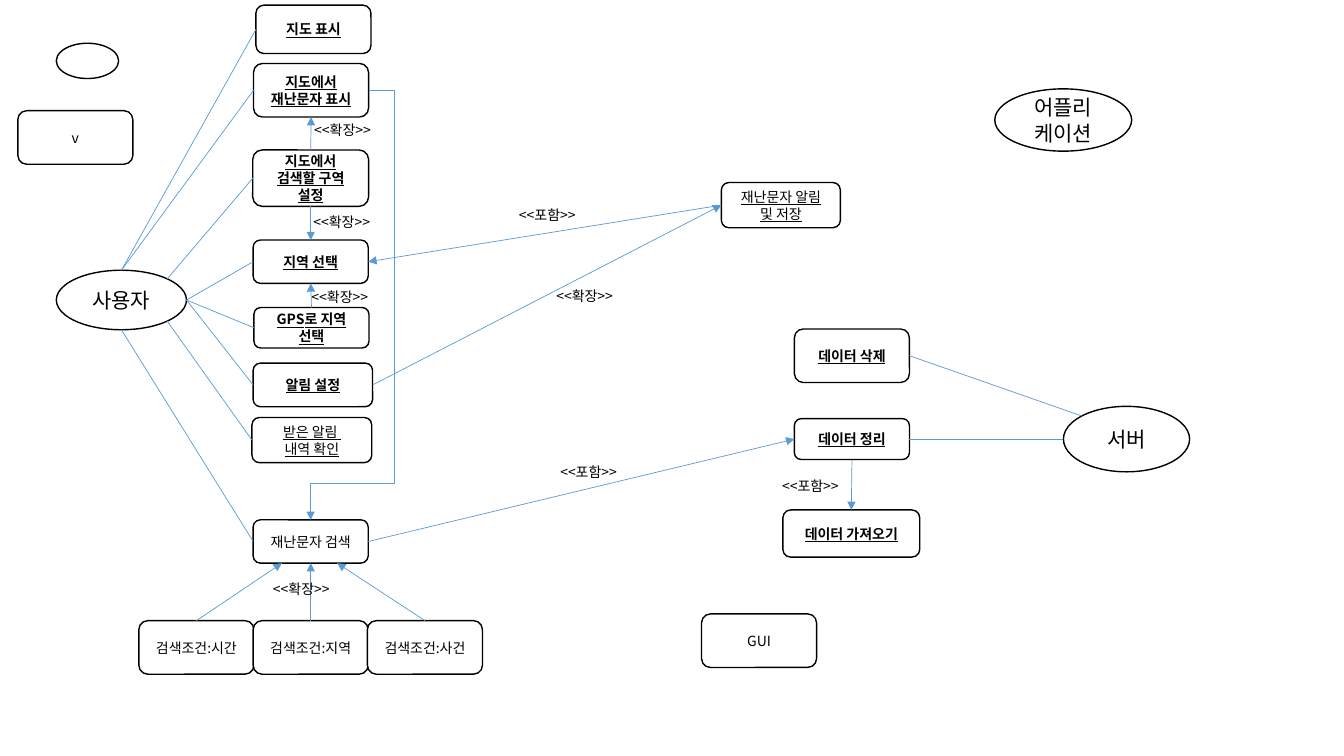
"""Build the use case diagram of a disaster message application."""
from lxml.etree import SubElement
from pptx import Presentation
from pptx.dml.color import RGBColor
from pptx.enum.shapes import MSO_CONNECTOR, MSO_SHAPE
from pptx.enum.text import MSO_ANCHOR, MSO_AUTO_SIZE, PP_ALIGN
from pptx.oxml.ns import qn
from pptx.util import Cm, Pt

BLACK = RGBColor(0x00, 0x00, 0x00)
WHITE = RGBColor(0xFF, 0xFF, 0xFF)
BLUE = RGBColor(0x5B, 0x9B, 0xD5)
FONT = "Noto Sans CJK KR"

PLAIN = {"size": Pt(10), "name": FONT}
UNDERLINED = {**PLAIN, "underline": True}
STRONG = {**UNDERLINED, "bold": True}
LARGE = {**PLAIN, "size": Pt(15)}

ACTORS = {
    "blank": ("", 1.42, 1.09, 1.57, 0.89),
    "user": ("사용자", 1.42, 6.81, 3.28, 1.5),
    "server": ("서버", 26.8, 10.24, 3.18, 1.65),
    "app": ("어플리케이션", 25.07, 2.24, 3.45, 1.57),
}
CASES = {
    "map": ("지도 표시", 6.45, 0.13, 2.9, 1.22, STRONG),
    "map_messages": ("지도에서 재난문자 표시", 6.39, 1.6, 2.9, 1.35, STRONG),
    "zone": ("지도에서 검색할 구역 설정", 6.37, 3.78, 2.92, 1.42, STRONG),
    "region": ("지역 선택", 6.38, 6.05, 2.9, 1.09, STRONG),
    "gps": ("GPS로 지역 선택", 6.4, 7.75, 2.9, 1.02, STRONG),
    "alarm": ("알림 설정", 6.38, 9.15, 3.01, 1.1, STRONG),
    "history": ("받은 알림 \n내역 확인", 6.35, 10.52, 3.02, 1.14, UNDERLINED),
    "search": ("재난문자 검색", 6.38, 13.1, 2.9, 1.09, PLAIN),
    "notice": ("재난문자 알림 및 저장", 18.18, 4.6, 3, 1.14, UNDERLINED),
    "delete": ("데이터 삭제", 20.02, 8.29, 2.9, 1.35, STRONG),
    "organise": ("데이터 정리", 20.02, 10.55, 2.9, 1.03, STRONG),
    "fetch": ("데이터 가져오기", 19.73, 12.85, 3.45, 1.19, STRONG),
    "v": ("v", 0.45, 2.79, 2.9, 1.35, PLAIN),
    "gui": ("GUI", 17.68, 15.47, 2.9, 1.35, PLAIN),
}
CONDITIONS = ["시간", "지역", "사건"]
LABELS = {
    "<<포함>>": [(12.83, 5.08), (13.87, 11.56), (19.46, 11.91)],
    "<<확장>>": [(6.63, 14.5), (13.77, 7.13), (7.67, 2.93), (7.65, 5.26), (7.6, 7.14)],
}
SITES = {
    "top": (0.5, 0, 0, 0),
    "left": (0, 0.5, 1, 2),
    "bottom": (0.5, 1, 2, 4),
    "right": (1, 0.5, 3, 6),
    "top left": (0.15, 0.15, None, 1),
    "top right": (0.85, 0.15, None, 7),
    "bottom right": (0.85, 0.85, None, 5),
    "bottom quarter": (0.25, 1, None, None),
    "bottom three quarters": (0.73, 1, None, None),
}
ASSOCIATIONS = [
    ("user", "top", "map", "left"),
    ("user", "top", "map_messages", "left"),
    ("user", "top right", "zone", "left"),
    ("user", "right", "region", "left"),
    ("user", "right", "gps", "left"),
    ("user", "right", "alarm", "left"),
    ("user", "bottom right", "history", "left"),
    ("user", "bottom", "search", "left"),
    ("delete", "right", "server", "top left"),
    ("organise", "right", "server", "left"),
]
DEPENDENCIES = [
    ("zone", "top", "map_messages", "bottom"),
    ("zone", "bottom", "region", "top"),
    ("gps", "top", "region", "bottom"),
    ("notice", "left", "region", "right"),
    ("alarm", "right", "notice", "left"),
    ("search", "right", "organise", "left"),
    ("organise", "bottom", "fetch", "top"),
    ("시간", "top", "search", "bottom quarter"),
    ("지역", "top", "search", "bottom"),
    ("사건", "top", "search", "bottom three quarters"),
]


def write(tf, text, style, align):
    """Fill a text frame with styled paragraphs."""
    tf.text = text
    for p in tf.paragraphs:
        p.alignment = align
        for r in p.runs:
            for key, value in style.items():
                setattr(r.font, key, value)
            r.font.color.rgb = BLACK
            SubElement(r.font._element, qn("a:ea"), typeface=FONT)


def add_node(s, kind, text, left, top, width, height, style):
    """Add an outlined shape with centred text."""
    sp = s.shapes.add_shape(kind, Cm(left), Cm(top), Cm(width), Cm(height))
    sp.shadow.inherit = False
    sp.fill.solid()
    sp.fill.fore_color.rgb = WHITE
    sp.line.color.rgb = BLACK
    sp.line.width = Pt(1)
    sp.text_frame.word_wrap = True
    sp.text_frame.vertical_anchor = MSO_ANCHOR.MIDDLE
    write(sp.text_frame, text, style, PP_ALIGN.CENTER)
    return sp


def add_label(s, text, left, top):
    """Add a relation label that does not wrap."""
    tf = s.shapes.add_textbox(Cm(left), Cm(top), Cm(2.24), Cm(0.69)).text_frame
    tf.word_wrap = False
    tf.auto_size = MSO_AUTO_SIZE.SHAPE_TO_FIT_TEXT
    write(tf, text, PLAIN, PP_ALIGN.LEFT)


def find_site(sp, site):
    """Return the point of a named site and its connection index."""
    across, down, case_index, actor_index = SITES[site]
    x = sp.left + int(across * sp.width)
    y = sp.top + int(down * sp.height)
    is_actor = sp.auto_shape_type == MSO_SHAPE.OVAL
    return x, y, actor_index if is_actor else case_index


def add_link(s, start, start_site, end, end_site, arrow=False, kind=MSO_CONNECTOR.STRAIGHT):
    """Join two nodes with a line, attached wherever a site exists."""
    x1, y1, start_index = find_site(start, start_site)
    x2, y2, end_index = find_site(end, end_site)
    link = s.shapes.add_connector(kind, x1, y1, x2, y2)
    link.line.color.rgb = BLUE
    link.line.width = Pt(0.5)
    if arrow:
        SubElement(link.line._get_or_add_ln(), qn("a:tailEnd"), type="triangle")
    SubElement(link._element.spPr, qn("a:effectLst"))
    joints = link._element.nvCxnSpPr.cNvCxnSpPr
    for tag, sp, index in (("a:stCxn", start, start_index), ("a:endCxn", end, end_index)):
        if index is not None:
            SubElement(joints, qn(tag), id=str(sp.shape_id), idx=str(index))
    return link


def bend(link, *adjustments):
    """Route an elbow link through four segments."""
    geometry = link._element.spPr.find(qn("a:prstGeom"))
    geometry.set("prst", "bentConnector4")
    guides = geometry.find(qn("a:avLst"))
    for number, value in enumerate(adjustments, 1):
        SubElement(guides, qn("a:gd"), name=f"adj{number}", fmla=f"val {value}")


def main():
    """Build and save the slide."""
    prs = Presentation()
    prs.slide_width, prs.slide_height = Cm(33.87), Cm(19.05)
    s = prs.slides.add_slide(prs.slide_layouts[6])
    nodes = {}
    for name, values in ACTORS.items():
        nodes[name] = add_node(s, MSO_SHAPE.OVAL, *values, LARGE)
    for name, values in CASES.items():
        nodes[name] = add_node(s, MSO_SHAPE.ROUNDED_RECTANGLE, *values)
    for i, name in enumerate(CONDITIONS):
        nodes[name] = add_node(s, MSO_SHAPE.ROUNDED_RECTANGLE, f"검색조건:{name}",
                               3.5 + 2.88 * i, 15.64, 2.9, 1.35, PLAIN)
    for links, arrow in ((ASSOCIATIONS, False), (DEPENDENCIES, True)):
        for start, start_site, end, end_site in links:
            add_link(s, nodes[start], start_site, nodes[end], end_site, arrow)
    bend(add_link(s, nodes["map_messages"], "right", nodes["search"], "top",
                  True, MSO_CONNECTOR.ELBOW), -43800, 91500)
    for text, places in LABELS.items():
        for left, top in places:
            add_label(s, text, left, top)
    prs.save("out.pptx")


main()
